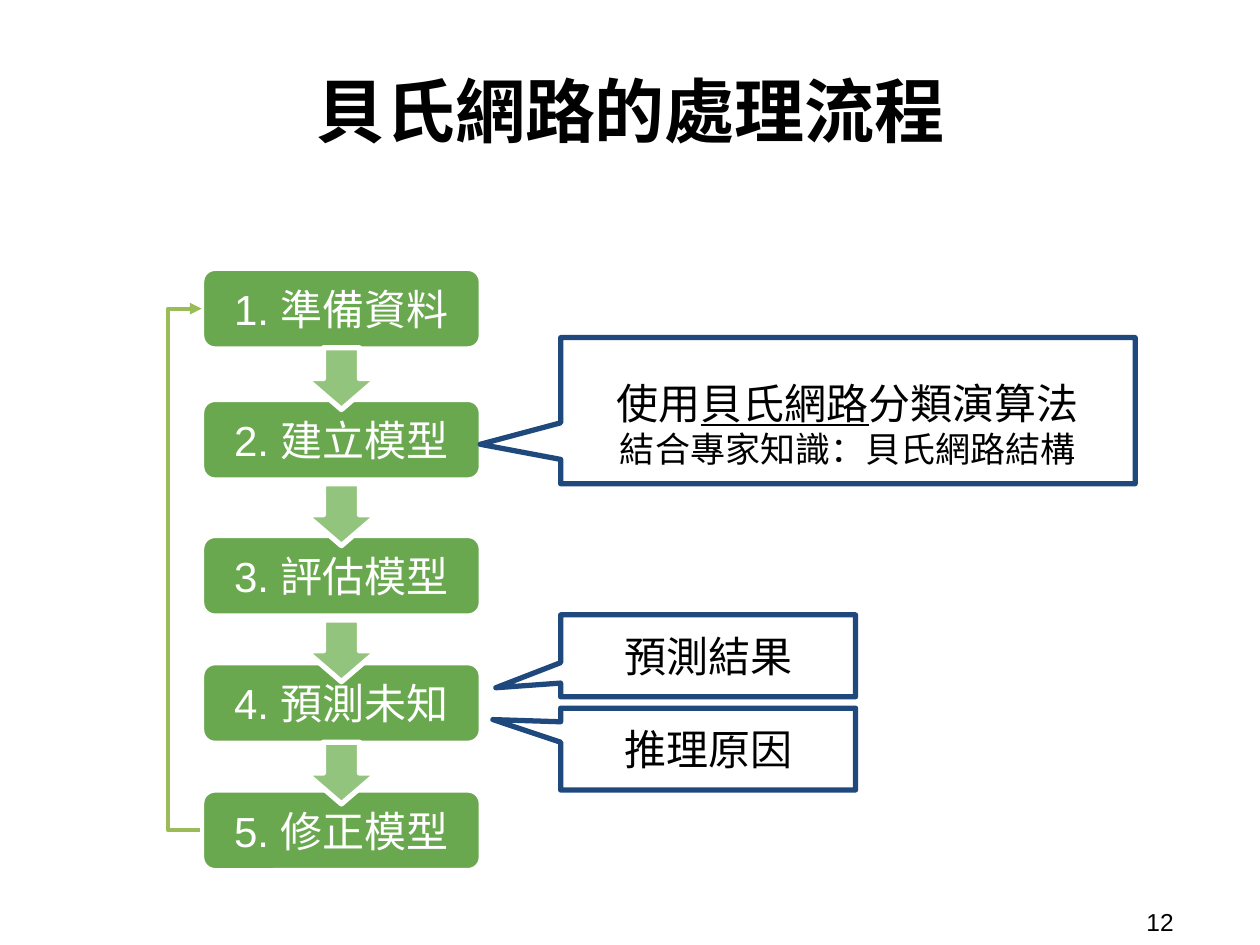
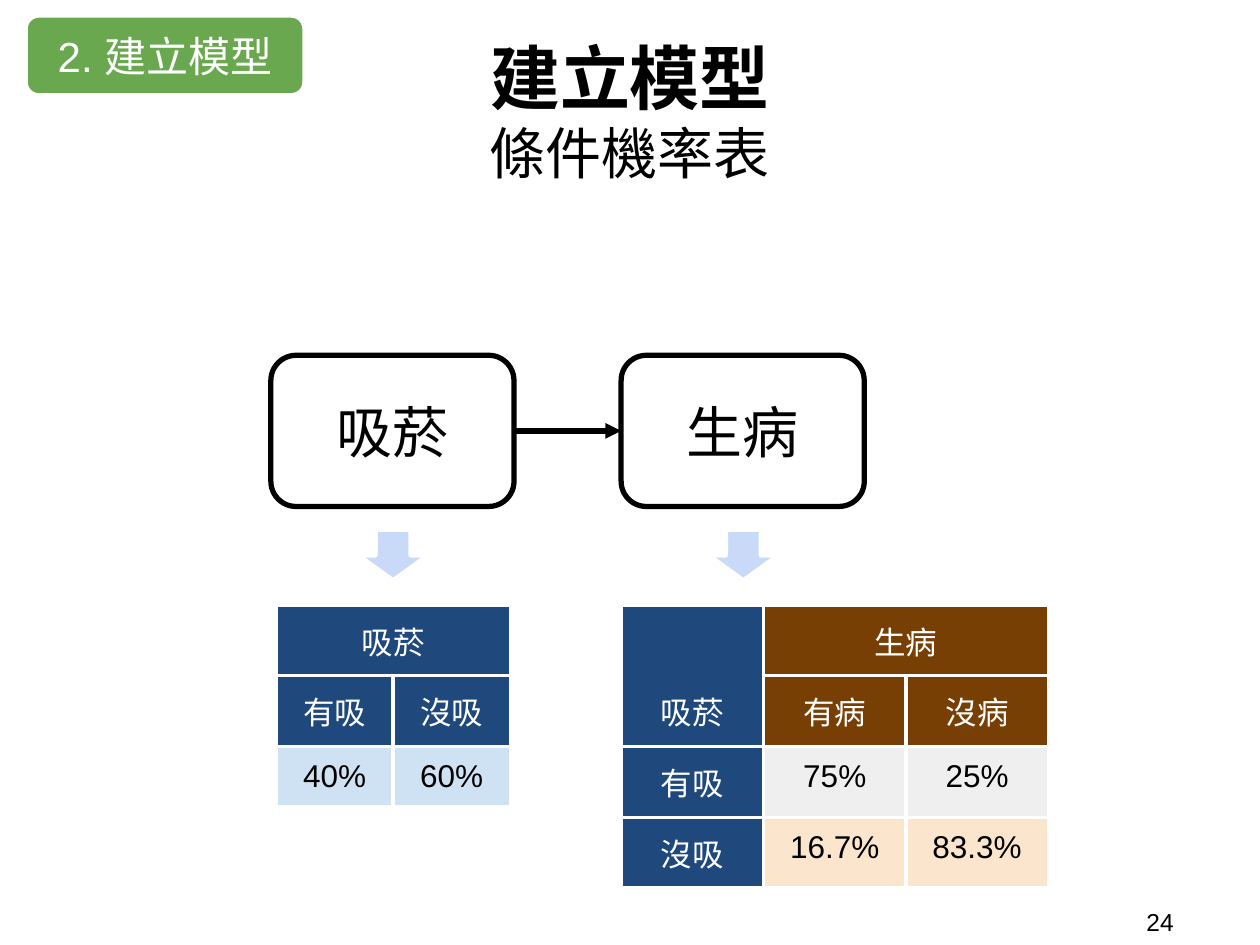
from lxml import etree
from pptx import Presentation
from pptx.dml.color import RGBColor
from pptx.enum.shapes import MSO_CONNECTOR as CONN, MSO_SHAPE as SHAPE
from pptx.enum.text import MSO_ANCHOR as ANCHOR, MSO_AUTO_SIZE as AUTO, PP_ALIGN as ALIGN
from pptx.oxml import parse_xml
from pptx.oxml.ns import nsdecls, qn
from pptx.util import Inches, Pt

BLACK, WHITE = "000000", "FFFFFF"
GREEN, LIGHT_GREEN, OLIVE = "6AA84F", "93C47D", "9BBB59"
NAVY, BROWN, PALE_BLUE = "1F497D", "783F04", "C9DAF8"
SKY, GRAY, PEACH = "CFE2F3", "EFEFEF", "FCE5CD"
LATIN, CJK = "Arial", "Noto Sans CJK TC"
STEPS = ["1. 準備資料", "2. 建立模型", "3. 評估模型", "4. 預測未知", "5. 修正模型"]
STEP_W, STEP_H = 2.22, 0.64


def rgb(color):
    """Turn a hex string into a colour."""
    return RGBColor.from_string(color)


class Deck:
    """Holds the shared style and the slide being built."""

    def __init__(self):
        """Start a 10 by 7.5 inch presentation."""
        self.prs = Presentation()
        self.prs.slide_width, self.prs.slide_height = Inches(10), Inches(7.5)

    def new_slide(self, number, title, sizes):
        """Add a slide with its title and page number."""
        self.slide = self.prs.slides.add_slide(self.prs.slide_layouts[5])
        sp = self.slide.shapes.title
        sp.left, sp.top, sp.width, sp.height = map(Inches, (0.52, 0.19, 8.96, 1.36))
        self.set_text(sp.text_frame, title, sizes, font=CJK)
        for i, p in enumerate(sp.text_frame.paragraphs):
            p.runs[0].font.bold = i == 0
        box = self.slide.shapes.add_textbox(*map(Inches, (9, 7.17, 0.92, 0.29)))
        self.set_text(box.text_frame, str(number), [14], align=ALIGN.LEFT, inset=0.05)

    def style_run(self, r, size, color=BLACK, font=LATIN):
        """Format one run."""
        r.font.size, r.font.name = Pt(size), font
        r.font.color.rgb = rgb(color)
        etree.SubElement(r._r.get_or_add_rPr(), qn("a:ea"), typeface=CJK)

    def set_text(self, tf, text, sizes, color=BLACK, font=LATIN, align=ALIGN.CENTER, inset=0.1):
        """Fill a text frame, with one size for each paragraph."""
        tf.text = text
        tf.word_wrap, tf.auto_size = True, AUTO.NONE
        tf.vertical_anchor = ANCHOR.MIDDLE
        tf.margin_left = tf.margin_right = Inches(0.1)
        tf.margin_top = tf.margin_bottom = Inches(inset)
        for p, size in zip(tf.paragraphs, sizes):
            p.alignment = align
            for r in p.runs:
                self.style_run(r, size, color, font)

    def shape(self, kind, x, y, w, h, fill, line, adjust=()):
        """Add a preset shape with a 3 point outline."""
        sp = self.slide.shapes.add_shape(kind, *map(Inches, (x, y, w, h)))
        sp.shadow.inherit = False
        sp.fill.solid()
        sp.fill.fore_color.rgb = rgb(fill)
        sp.line.color.rgb, sp.line.width = rgb(line), Pt(3)
        for i, value in enumerate(adjust):
            sp.adjustments[i] = value
        return sp

    def step(self, text, x, y):
        """Add a green process step."""
        sp = self.shape(SHAPE.ROUNDED_RECTANGLE, x, y, STEP_W, STEP_H, GREEN, WHITE)
        self.set_text(sp.text_frame, text, [24], WHITE)

    def node(self, text, x):
        """Add a network node."""
        sp = self.shape(SHAPE.ROUNDED_RECTANGLE, x, 2.82, 1.93, 1.2, WHITE, BLACK)
        self.set_text(sp.text_frame, text, [32])
        return sp

    def down_arrow(self, center, y, h, fill):
        """Add a block arrow centred on a given x."""
        w = 0.57
        self.shape(SHAPE.DOWN_ARROW, center - w / 2, y, w, h, fill, WHITE)

    def callout(self, text, y, w, h, tip, sizes=(24,)):
        """Add a callout whose tip is given relative to its size."""
        sp = self.shape(SHAPE.ROUNDED_RECTANGULAR_CALLOUT, 4.45, y, w, h, WHITE, NAVY, (*tip, 0))
        self.set_text(sp.text_frame, text, sizes)
        return sp.text_frame

    def arrow(self, kind, x1, y1, x2, y2, color, width):
        """Add a connector with an arrowhead at its end."""
        cx = self.slide.shapes.add_connector(kind, *map(Inches, (x1, y1, x2, y2)))
        cx.line.color.rgb, cx.line.width = rgb(color), Pt(width)
        etree.SubElement(cx.get_or_add_ln(), qn("a:tailEnd"), type="triangle")
        etree.SubElement(cx._element.spPr, qn("a:effectLst"))
        return cx

    def table(self, x, col_w, row_heights, texts, fills, merges):
        """Add a table with two header rows and white borders."""
        rows, cols = len(texts), len(texts[0])
        frame = self.slide.shapes.add_table(
            rows, cols, *map(Inches, (x, 4.8, col_w * cols, sum(row_heights))))
        tbl = frame.table
        tbl.first_row = tbl.horz_banding = False
        for col in tbl.columns:
            col.width = Inches(col_w)
        for i, height in enumerate(row_heights):
            tbl.rows[i].height = Inches(height)
            for j in range(cols):
                self.cell(tbl.cell(i, j), texts[i][j], fills[i][j],
                          ANCHOR.MIDDLE if i < 2 else ANCHOR.TOP)
        for first, last in merges:
            tbl.cell(*first).merge(tbl.cell(*last))
        return tbl

    def cell(self, cell, text, fill, anchor):
        """Fill and format one table cell."""
        cell.text = text
        cell.vertical_anchor = anchor
        cell.margin_left = cell.margin_right = Inches(0.1)
        cell.margin_top = cell.margin_bottom = Inches(0.1)
        p = cell.text_frame.paragraphs[0]
        p.alignment = ALIGN.CENTER
        for r in p.runs:
            self.style_run(r, 18, WHITE if fill in (NAVY, BROWN) else BLACK)
        cell.fill.solid()
        cell.fill.fore_color.rgb = rgb(fill)
        tc_pr = cell._tc.get_or_add_tcPr()
        for i, side in enumerate(("lnL", "lnR", "lnT", "lnB")):
            tc_pr.insert(i, parse_xml(
                f'<a:{side} {nsdecls("a")} w="{Pt(2.25)}"><a:solidFill>'
                f'<a:srgbClr val="{WHITE}"/></a:solidFill></a:{side}>'))


def build_process(deck):
    """Build the process flow slide."""
    deck.new_slide(12, "貝氏網路的處理流程", [40])
    left, tops = 1.6, (2.13, 3.17, 4.25, 5.26, 6.27)
    for text, top in zip(STEPS, tops):
        deck.step(text, left, top)
    tf = deck.callout("使用\n結合專家知識：貝氏網路結構", 2.68, 4.56, 1.16,
                      (-0.64, 0.23), (24, 20))
    p = tf.paragraphs[0]
    p.line_spacing = 1.5
    for text, underline in (("貝氏網路", True), ("分類演算法", False)):
        r = p.add_run()
        r.text = text
        deck.style_run(r, 24)
        r.font.underline = underline
    deck.callout("預測結果", 4.88, 2.34, 0.65, (-0.72, 0.39))
    deck.callout("推理原因", 5.62, 2.34, 0.65, (-0.73, -0.36))
    for top in (2.76, 3.84, 4.92, 5.89):
        deck.down_arrow(left + STEP_W / 2, top, 0.49, LIGHT_GREEN)
    span, reach = 0.01, 0.26
    loop = deck.arrow(CONN.ELBOW, left - span, tops[-1] + STEP_H / 2,
                      left, tops[0] + STEP_H / 2, OLIVE, 2.25)
    guides = loop._element.spPr.find(qn("a:prstGeom")).get_or_add_avLst()
    etree.SubElement(guides, qn("a:gd"), name="adj1",
                     fmla=f"val {round(-reach / span * 100000)}")


def build_model(deck):
    """Build the conditional probability slide."""
    deck.new_slide(24, "建立模型\n條件機率表", [40, 32])
    deck.step(STEPS[1], 0.2, 0.12)
    smoking, illness = deck.node("吸菸", 2.15), deck.node("生病", 4.93)
    link = deck.arrow(CONN.STRAIGHT, 4.08, 3.42, 4.93, 3.42, BLACK, 3)
    link.begin_connect(smoking, 3)
    link.end_connect(illness, 1)
    for center in (3.12, 5.9):
        deck.down_arrow(center, 4.2, 0.41, PALE_BLUE)
    deck.table(2.19, 0.93, (0.35, 0.35, 0.38),
               [["吸菸", ""], ["有吸", "沒吸"], ["40%", "60%"]],
               [[NAVY] * 2, [NAVY] * 2, [SKY] * 2],
               [((0, 0), (0, 1))])
    tbl = deck.table(4.93, 1.13, [0.44] * 4,
                     [["吸菸", "生病", ""], ["", "有病", "沒病"],
                      ["有吸", "75%", "25%"], ["沒吸", "16.7%", "83.3%"]],
                     [[NAVY, c, c] for c in (BROWN, BROWN, GRAY, PEACH)],
                     [((0, 0), (1, 0)), ((0, 1), (0, 2))])
    tbl.cell(0, 0).vertical_anchor = ANCHOR.BOTTOM


def main():
    """Build and save the presentation."""
    deck = Deck()
    build_process(deck)
    build_model(deck)
    deck.prs.save("out.pptx")


if __name__ == "__main__":
    main()
